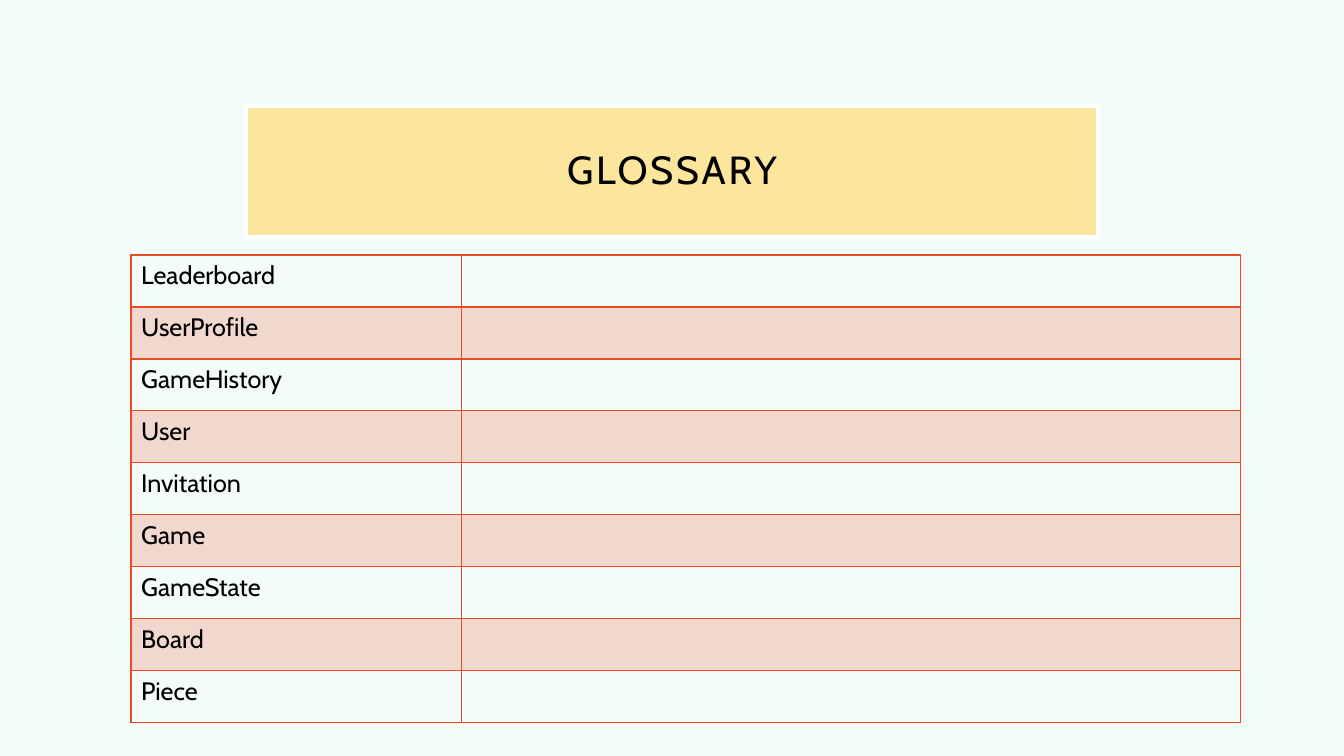
import pptx
import pptx.dml.color
import pptx.enum.text
import pptx.oxml
import pptx.oxml.ns
import pptx.util
from pptx.util import Inches

COLOURS = {"page": "F3FCF9", "banner": "FFE085", "frame": "FFFFFF",
           "accent": "E84C22", "text": "000000"}
FONT = "Cabin"
TERMS = ["Leaderboard", "UserProfile", "GameHistory", "User", "Invitation",
         "Game", "GameState", "Board", "Piece"]
COLUMN_WIDTHS = [3.28, 7.72]


def colour(name):
    return pptx.dml.color.RGBColor.from_string(COLOURS[name])


def fill_solid(fill, name, opacity=100):
    fill.solid()
    fill.fore_color.rgb = colour(name)
    if opacity < 100:
        shade = fill._xPr.find(".//" + pptx.oxml.ns.qn("a:srgbClr"))
        alpha = pptx.oxml.parse_xml(
            f'<a:alpha {pptx.oxml.ns.nsdecls("a")} val="{opacity * 1000}"/>')
        shade.append(alpha)


def format_span(span, size):
    span.font.name = FONT
    span.font.size = pptx.util.Pt(size)
    span.font.color.rgb = colour("text")


def add_banner(page, left, top, width, height):
    banner = page.shapes.title
    banner.left, banner.top = Inches(left), Inches(top)
    banner.width, banner.height = Inches(width), Inches(height)
    fill_solid(banner.fill, "banner", 80)
    banner.line.color.rgb = colour("frame")
    banner.line.width = pptx.util.Pt(2.5)

    frame = banner.text_frame
    frame.text = "GLOSSARY"
    frame.word_wrap = True
    frame.vertical_anchor = pptx.enum.text.MSO_ANCHOR.MIDDLE
    frame.margin_left = frame.margin_right = Inches(0.2)
    frame.margin_top = frame.margin_bottom = Inches(0.2)
    para = frame.paragraphs[0]
    para.alignment = pptx.enum.text.PP_ALIGN.CENTER
    para.line_spacing = 0.9
    span = para.runs[0]
    format_span(span, 28)
    span.font._element.set("spc", "200")


def set_borders(cell, top, bottom):
    widths = {"lnL": 1, "lnR": 1, "lnT": top, "lnB": bottom}
    properties = cell._tc.get_or_add_tcPr()
    # Borders must come before the fill in the cell properties
    for position, (side, points) in enumerate(widths.items()):
        properties.insert(position, pptx.oxml.parse_xml(
            f'<a:{side} {pptx.oxml.ns.nsdecls("a")} w="{pptx.util.Pt(points)}">'
            f'<a:solidFill><a:srgbClr val="{COLOURS["accent"]}"/></a:solidFill>'
            f'</a:{side}>'))


def add_glossary(page, left, top, width, height):
    table = page.shapes.add_table(
        len(TERMS), len(COLUMN_WIDTHS), Inches(left), Inches(top),
        Inches(width), Inches(height)).table
    table.first_row = table.horz_banding = False
    for column, column_width in zip(table.columns, COLUMN_WIDTHS):
        column.width = Inches(column_width)

    for index, term in enumerate(TERMS):
        table.cell(index, 0).text = term
        format_span(table.cell(index, 0).text_frame.paragraphs[0].runs[0], 18)
        for cell in table.rows[index].cells:
            if index % 2:
                fill_solid(cell.fill, "accent", 20)
            else:
                cell.fill.background()
            # The rule under the first row is heavier
            set_borders(cell, top=2 if index == 1 else 1,
                        bottom=2 if index == 0 else 1)


def main():
    deck = pptx.Presentation()
    deck.slide_width, deck.slide_height = Inches(13.33), Inches(7.5)
    page = deck.slides.add_slide(deck.slide_layouts.get_by_name("Title Only"))
    fill_solid(page.background.fill, "page")
    add_banner(page, 2.44, 1.05, 8.45, 1.3)
    add_glossary(page, 1.3, 2.53, sum(COLUMN_WIDTHS), 4.64)
    deck.save("out.pptx")


if __name__ == "__main__":
    main()
